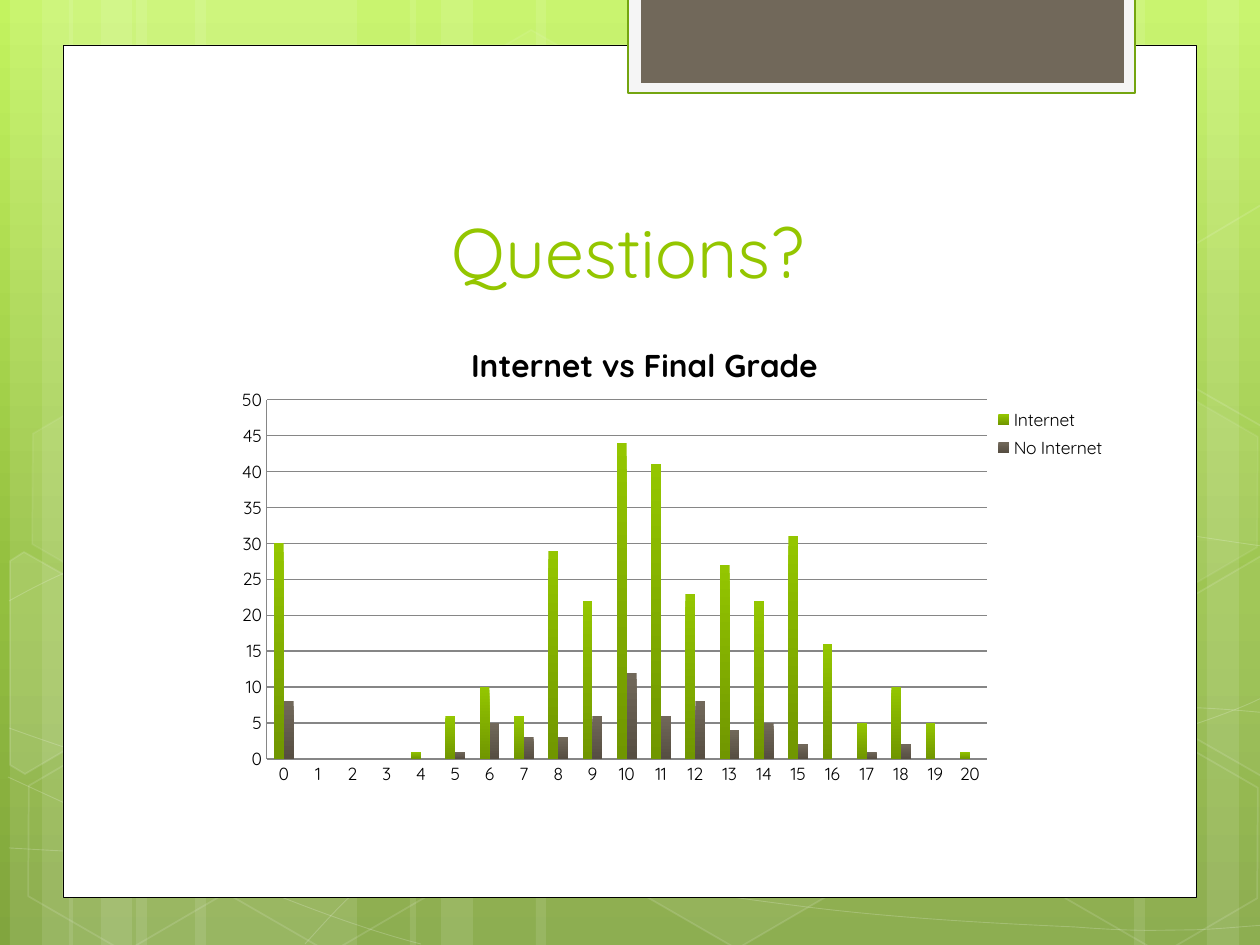
from copy import deepcopy
from pptx import Presentation
from pptx.chart.data import CategoryChartData
from pptx.dml.color import RGBColor
from pptx.enum.chart import XL_CHART_TYPE, XL_LEGEND_POSITION, XL_TICK_MARK
from pptx.enum.shapes import MSO_SHAPE
from pptx.enum.text import MSO_ANCHOR, PP_ALIGN
from pptx.oxml import parse_xml
from pptx.oxml.ns import nsdecls, qn
from pptx.oxml.xmlchemy import OxmlElement
from pptx.util import Pt

WHITE = RGBColor(0xFF, 0xFF, 0xFF)
BLACK = RGBColor(0, 0, 0)
GREEN = RGBColor(0x94, 0xC6, 0x00)
DARK_GREEN = RGBColor(0x70, 0x96, 0x00)
FRAME_GREEN = RGBColor(0x74, 0xA5, 0x10)
BROWN = RGBColor(0x71, 0x68, 0x5A)
DARK_BROWN = RGBColor(0x56, 0x4E, 0x42)
PALE = RGBColor(0xF5, 0xF5, 0xF5)
GRID = RGBColor(0x86, 0x86, 0x86)
SKY = [(0, RGBColor(0xC3, 0xF3, 0x5F)), (62, RGBColor(0x93, 0xBF, 0x3F)),
       (100, RGBColor(0x81, 0xA5, 0x3E))]
FONT = "Quicksand"
WIDTH, HEIGHT = 1260, 945


class Deck:
    def __init__(self):
        self.presentation = Presentation()
        self.presentation.slide_width = self.emu(WIDTH)
        self.presentation.slide_height = self.emu(HEIGHT)
        self.slide = self.presentation.slides.add_slide(self.presentation.slide_layouts[6])
        self.shapes = self.slide.shapes

    def emu(self, pixels):
        return round(pixels * 914400 / 126)

    def box(self, *pixels):
        return [self.emu(value) for value in pixels]

    def paint(self, shape, fill=None, line=None, width=1, fill_alpha=100, line_alpha=100):
        shape.shadow.inherit = False
        for target, color in ((shape.fill, fill), (shape.line.fill, line)):
            if color is None:
                target.background()
            else:
                target.solid()
                target.fore_color.rgb = color
        if line is not None:
            shape.line.width = Pt(width)
        properties = shape._element.spPr
        for query, alpha in (("a:solidFill/a:srgbClr", fill_alpha), ("a:ln/a:solidFill/a:srgbClr", line_alpha)):
            for color in properties.xpath(query):
                if alpha < 100:
                    element = OxmlElement("a:alpha")
                    element.set("val", str(alpha * 1000))
                    color.append(element)
        return shape

    def preset(self, kind, box, *style, **options):
        return self.paint(self.shapes.add_shape(kind, *self.box(*box)), *style, **options)

    def outline(self, points, closed, *style, **options):
        points = [tuple(self.box(*point)) for point in points]
        builder = self.shapes.build_freeform(*points[0])
        builder.add_line_segments(points[1:], close=closed)
        return self.paint(builder.convert_to_shape(), *style, **options)

    def curve(self, points, *style, **options):
        shape = self.outline(points, False, *style, **options)
        segments = shape._element.spPr.xpath(".//a:lnTo")
        for start in range(0, len(segments), 3):
            bezier = OxmlElement("a:cubicBezTo")
            segments[start].addprevious(bezier)
            for segment in segments[start:start + 3]:
                bezier.append(segment[0])
                segment.getparent().remove(segment)

    def title(self, text, box):
        frame = self.shapes.add_textbox(*self.box(*box)).text_frame
        frame.word_wrap = True
        frame.vertical_anchor = MSO_ANCHOR.BOTTOM
        paragraph = frame.paragraphs[0]
        paragraph.text = text
        paragraph.alignment = PP_ALIGN.CENTER
        self.font(paragraph.font, 40, GREEN)

    def font(self, font, size, color, bold=False):
        font.name, font.size, font.bold = FONT, Pt(size), bold
        font.color.rgb = color

    def gradient(self, fill, stops):
        fill.gradient()
        fill.gradient_angle = 270
        elements = fill.gradient_stops[0]._gs.getparent()
        for _ in stops[2:]:
            elements.append(deepcopy(elements[-1]))
        for stop, (position, color) in zip(fill.gradient_stops, stops):
            stop.position = position / 100
            stop.color.rgb = color

    def place(self, element, position, box, target=""):
        for old in element.findall(qn("c:layout")):
            element.remove(old)
        modes = target + '<c:xMode val="edge"/><c:yMode val="edge"/>'
        sizes = "".join(f'<c:{key} val="{value}"/>' for key, value in zip("xywh", box))
        element.insert(position, parse_xml(
            f'<c:layout {nsdecls("c")}><c:manualLayout>{modes}{sizes}</c:manualLayout></c:layout>'))

    def column_chart(self, title, categories, series, box, plot_box, legend_box):
        data = CategoryChartData()
        data.categories = categories
        for name, values, _ in series:
            data.add_series(name, values)
        chart = self.shapes.add_chart(XL_CHART_TYPE.COLUMN_CLUSTERED, *self.box(*box), data).chart
        self.font(chart.font, 10, BLACK)
        chart.has_title = True
        paragraph = chart.chart_title.text_frame.paragraphs[0]
        paragraph.text = title
        self.font(paragraph.font, 18, BLACK, True)
        chart.chart_title.include_in_layout = False
        chart.has_legend = True
        chart.legend.position = XL_LEGEND_POSITION.RIGHT
        chart.legend.include_in_layout = False
        for axis in (chart.category_axis, chart.value_axis):
            axis.major_tick_mark = axis.minor_tick_mark = XL_TICK_MARK.NONE
            axis.format.line.color.rgb = GRID
        axis.maximum_scale, axis.minimum_scale, axis.major_unit = 50, 0, 5
        axis.major_gridlines.format.line.color.rgb = GRID
        plot = chart.plots[0]
        plot.gap_width, plot.overlap, plot.vary_by_categories = 150, 0, False
        for drawn, (_, _, colors) in zip(plot.series, series):
            self.gradient(drawn.format.fill, list(zip((0, 100), colors)))
        self.place(chart._chartSpace.chart.plotArea, 0, plot_box, '<c:layoutTarget val="inner"/>')
        self.place(chart.legend._element, 1, legend_box)


BANDS = [(136, 221), (10, 63), (42, 105), (195, 221), (69, 63), (101, 105),
         (924, 221), (1207, 63), (1134, 105), (536, 388), (410, 63), (441, 105)]
CURVES = [
    [(9, 848), (77, 852), (145, 856), (239, 854), (334, 853), (451, 851), (577, 838),
     (703, 825), (882, 801), (998, 777), (1113, 753), (1231, 716), (1269, 694)],
    [(9, 601), (45, 581), (82, 562), (152, 543), (224, 524), (326, 496), (437, 488),
     (549, 479), (685, 478), (824, 488), (963, 498), (1193, 537), (1269, 547)],
    [(8, 777), (160, 847), (311, 916), (421, 944)],
    [(9, 728), (48, 742), (88, 756), (161, 776), (234, 795), (344, 827), (450, 848),
     (554, 869), (687, 892), (791, 905), (896, 919), (1008, 924), (1075, 927),
     (1140, 932), (1158, 930), (1191, 930), (1223, 929), (1246, 926), (1269, 925)],
    [(305, 944), (328, 919), (350, 893), (381, 871), (411, 848), (454, 823), (489, 805),
     (524, 787), (546, 779), (592, 767), (638, 755), (722, 737), (766, 728),
     (811, 719), (818, 719), (857, 717), (896, 713), (958, 709), (1000, 708),
     (1045, 707), (1116, 708), (1116, 708), (1144, 708), (1173, 708), (1201, 708),
     (1223, 709), (1245, 711), (1256, 712), (1268, 713), (1264, 713), (1268, 713)],
]
HEXAGONS = [(421, 45, 4, 8), (626, 742, 6, 12), (14, 745, 0, 12), (18, 393, 7, 8),
            (219, 746, 0, 12), (949, 571, 10, 12), (1051, 747, 0, 12), (1051, 396, 7, 8)]
CUT_HEXAGONS = [
    ([(10, 561), (24, 552), (121, 607), (120, 718), (25, 774), (10, 765)], 10),
    ([(1167, 611), (1261, 556), (1271, 562), (1271, 772), (1263, 777), (1167, 722)], 4),
    ([(1167, 261), (1261, 205), (1273, 212), (1271, 422), (1263, 427), (1167, 372)], 0),
]
INTERNET = [30, 0, 0, 0, 1, 6, 10, 6, 29, 22, 44, 41, 23, 27, 22, 31, 16, 5, 10, 5, 1]
NO_INTERNET = [8, 0, 0, 0, 0, 1, 5, 3, 3, 6, 12, 6, 8, 4, 5, 2, 0, 1, 2, 0, 0]

deck = Deck()
deck.gradient(deck.slide.background.fill, SKY)
for left, width in BANDS:
    deck.preset(MSO_SHAPE.RECTANGLE, (left, 0, width, HEIGHT), WHITE, fill_alpha=10)
for points in CURVES:
    deck.curve(points, None, WHITE, 0.5, line_alpha=20)
for left, top, fill_alpha, line_alpha in HEXAGONS:
    hexagon = deck.preset(MSO_SHAPE.HEXAGON, (left, top, 221, 192), WHITE if fill_alpha else None, WHITE,
                          fill_alpha=fill_alpha, line_alpha=line_alpha)
    hexagon.adjustments[0] = 0.285
    hexagon.rotation = 30
for points, fill_alpha in CUT_HEXAGONS:
    deck.outline(points, True, WHITE if fill_alpha else None, WHITE, fill_alpha=fill_alpha, line_alpha=12)
deck.preset(MSO_SHAPE.RECTANGLE, (63, 45, 1134, 853), WHITE, BLACK, 0.5)
deck.preset(MSO_SHAPE.RECTANGLE, (628, -3, 507, 96), PALE, FRAME_GREEN, 1.25)
deck.preset(MSO_SHAPE.RECTANGLE, (641, -3, 483, 86), BROWN)
deck.title("Questions?", (144, 142, 968, 157))
deck.column_chart("Internet vs Final Grade", [float(grade) for grade in range(21)],
                  [("Internet", INTERNET, (GREEN, DARK_GREEN)),
                   ("No Internet", NO_INTERNET, (BROWN, DARK_BROWN))],
                  (178, 320, 933, 484), (0.095, 0.165, 0.772, 0.742), (0.87, 0.17, 0.13, 0.13))
deck.presentation.save("out.pptx")
